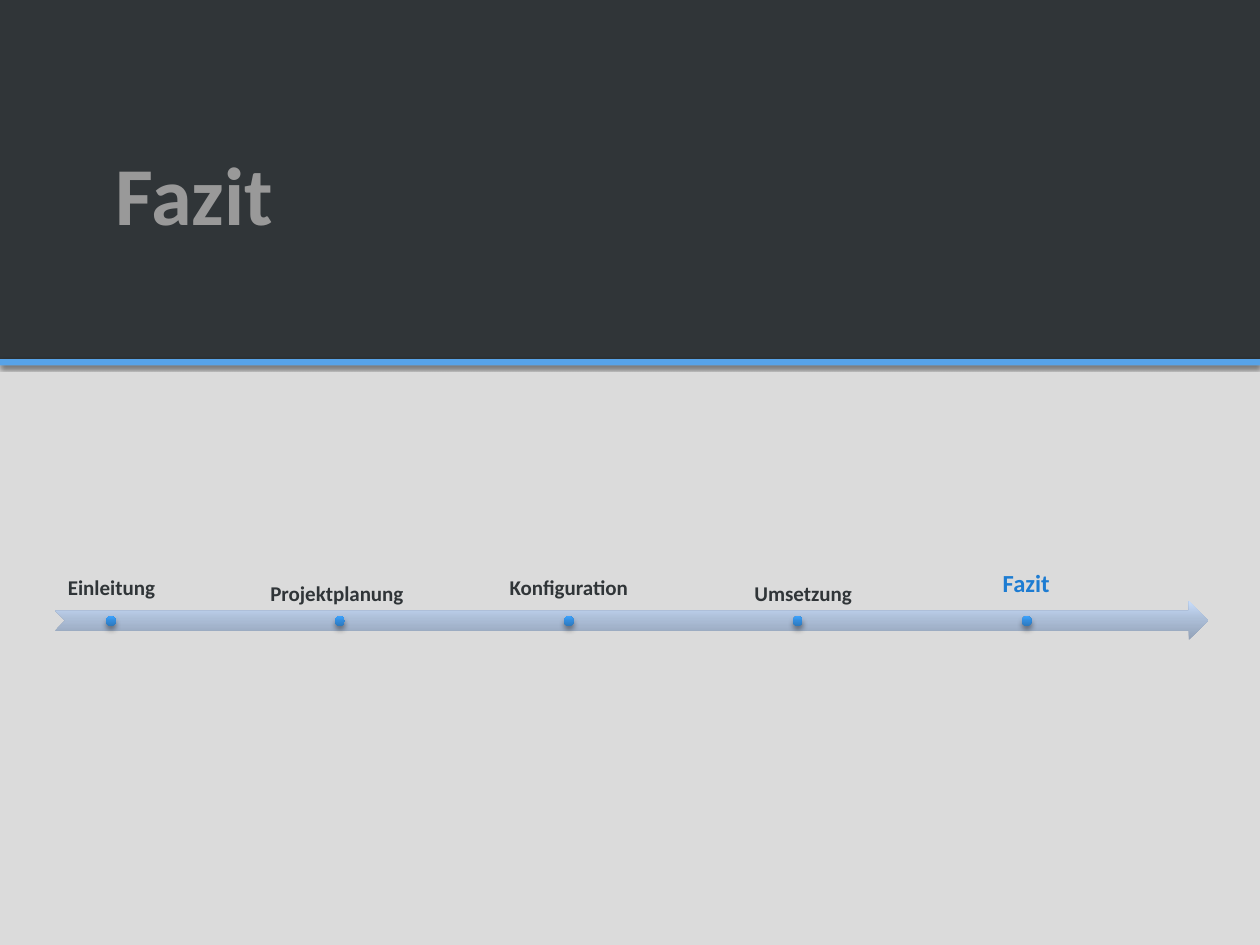
"""Build the closing section slide with its chapter timeline."""
from copy import deepcopy
from dataclasses import dataclass

from lxml.etree import SubElement
from pptx import Presentation
from pptx.dml.color import RGBColor
from pptx.enum.shapes import MSO_SHAPE as Preset
from pptx.enum.text import MSO_ANCHOR as Anchor, PP_ALIGN as Align
from pptx.oxml.ns import qn
from pptx.util import Inches, Pt


@dataclass(frozen=True)
class Theme:
    font: str = "Calibri"
    page: str = "DBDBDB"
    dark: str = "303538"
    bar: str = "57A3E8"
    title: str = "999999"
    active: str = "1D7CD2"
    arrow: tuple = ((0, "92A1B7"), (0.55, "ACBED7"), (1, "C9DDFB"))
    dot: tuple = ((0, "2C77BB"), (0.55, "338CDC"), (1, "3DA3FF"))
    title_size: int = 47
    label_size: int = 12
    active_size: int = 14


@dataclass(frozen=True)
class Shadow:
    opacity: int
    blur: float
    distance: float


@dataclass(frozen=True)
class Chapter:
    name: str
    left: float
    anchor: Anchor
    active: bool = False


THEME = Theme()
BAR_SHADOW = Shadow(60, 2.5, 0.8)
DOT_SHADOW = Shadow(38, 3.1, 2)
DOT_LEFT, DOT_PITCH, DOT_SIZE = 0.84, 1.817, 0.08
CHAPTERS = (
    Chapter("Einleitung", 0.02, Anchor.BOTTOM),
    Chapter("Projektplanung", 1.81, Anchor.TOP),
    Chapter("Konfiguration", 3.65, Anchor.BOTTOM),
    Chapter("Umsetzung", 5.51, Anchor.TOP),
    Chapter("Fazit", 7.28, Anchor.BOTTOM, active=True),
)


def color(value: str) -> RGBColor:
    """Turn a hex value into a colour."""
    return RGBColor.from_string(value)


def set_gradient(shape, stops: tuple) -> None:
    """Fill a shape with a gradient that rises from its bottom edge."""
    fill = shape.fill
    fill.gradient()
    fill.gradient_angle = 90
    stop_list = shape._element.spPr.find(qn("a:gradFill")).find(qn("a:gsLst"))
    while len(stop_list) < len(stops):
        stop_list.append(deepcopy(stop_list[0]))
    for stop, (position, value) in zip(fill.gradient_stops, stops):
        stop.position = position
        stop.color.rgb = color(value)


def set_shadow(shape, shadow: Shadow) -> None:
    """Cast a black shadow straight down."""
    effects = shape._element.spPr.find(qn("a:effectLst"))
    outer = SubElement(effects, qn("a:outerShdw"), blurRad=str(int(Pt(shadow.blur))),
                       dist=str(int(Pt(shadow.distance))), dir="5400000", rotWithShape="0")
    black = SubElement(outer, qn("a:srgbClr"), val="000000")
    SubElement(black, qn("a:alpha"), val=str(shadow.opacity * 1000))


def add_block(page, preset: Preset, at: tuple, fill: str | tuple,
              shadow: Shadow | None = None) -> None:
    """Add a borderless shape with a plain or gradient fill."""
    shape = page.shapes.add_shape(preset, *map(Inches, at))
    if isinstance(fill, str):
        shape.fill.solid()
        shape.fill.fore_color.rgb = color(fill)
    else:
        set_gradient(shape, fill)
    shape.line.fill.background()
    shape.shadow.inherit = False
    if shadow:
        set_shadow(shape, shadow)


def add_text(page, text: str, at: tuple, *, size: int, ink: str, anchor: Anchor,
             insets: tuple, align: Align = Align.LEFT, spacing: float = 1.0) -> None:
    """Add one bold line of text."""
    frame = page.shapes.add_textbox(*map(Inches, at)).text_frame
    frame.word_wrap = True
    frame.vertical_anchor = anchor
    side, edge = map(Inches, insets)
    frame.margin_left = frame.margin_right = side
    frame.margin_top = frame.margin_bottom = edge
    para = frame.paragraphs[0]
    para.alignment = align
    para.line_spacing = spacing
    span = para.add_run()
    span.text = text
    span.font.name = THEME.font
    span.font.size = Pt(size)
    span.font.bold = True
    span.font.color.rgb = color(ink)


def add_chapter(page, index: int, chapter: Chapter) -> None:
    """Add a chapter label and its dot on the timeline."""
    inset = 0.11 if chapter.active else 0.09
    add_text(page, chapter.name, (chapter.left, 4.54, 1.73, 0.31),
             size=THEME.active_size if chapter.active else THEME.label_size,
             ink=THEME.active if chapter.active else THEME.dark,
             anchor=chapter.anchor, insets=(inset, inset),
             align=Align.CENTER, spacing=0.9)
    add_block(page, Preset.OVAL,
              (DOT_LEFT + index * DOT_PITCH, 4.89, DOT_SIZE, DOT_SIZE),
              THEME.dot, DOT_SHADOW)


def main() -> None:
    """Build and save the deck."""
    deck = Presentation()
    deck.slide_width, deck.slide_height = Inches(10), Inches(7.5)
    page = deck.slides.add_slide(deck.slide_layouts[6])
    page.background.fill.solid()
    page.background.fill.fore_color.rgb = color(THEME.page)
    add_block(page, Preset.RECTANGLE, (0, 0, 10, 2.85), THEME.dark)
    add_block(page, Preset.RECTANGLE, (0, 2.85, 10, 0.05), THEME.bar, BAR_SHADOW)
    add_text(page, "Fazit", (0.82, 0.13, 8.76, 1.79), size=THEME.title_size,
             ink=THEME.title, anchor=Anchor.BOTTOM, insets=(0.1, 0))
    add_block(page, Preset.NOTCHED_RIGHT_ARROW, (0.44, 4.77, 9.15, 0.31), THEME.arrow)
    for index, chapter in enumerate(CHAPTERS):
        add_chapter(page, index, chapter)
    deck.save("out.pptx")


main()
